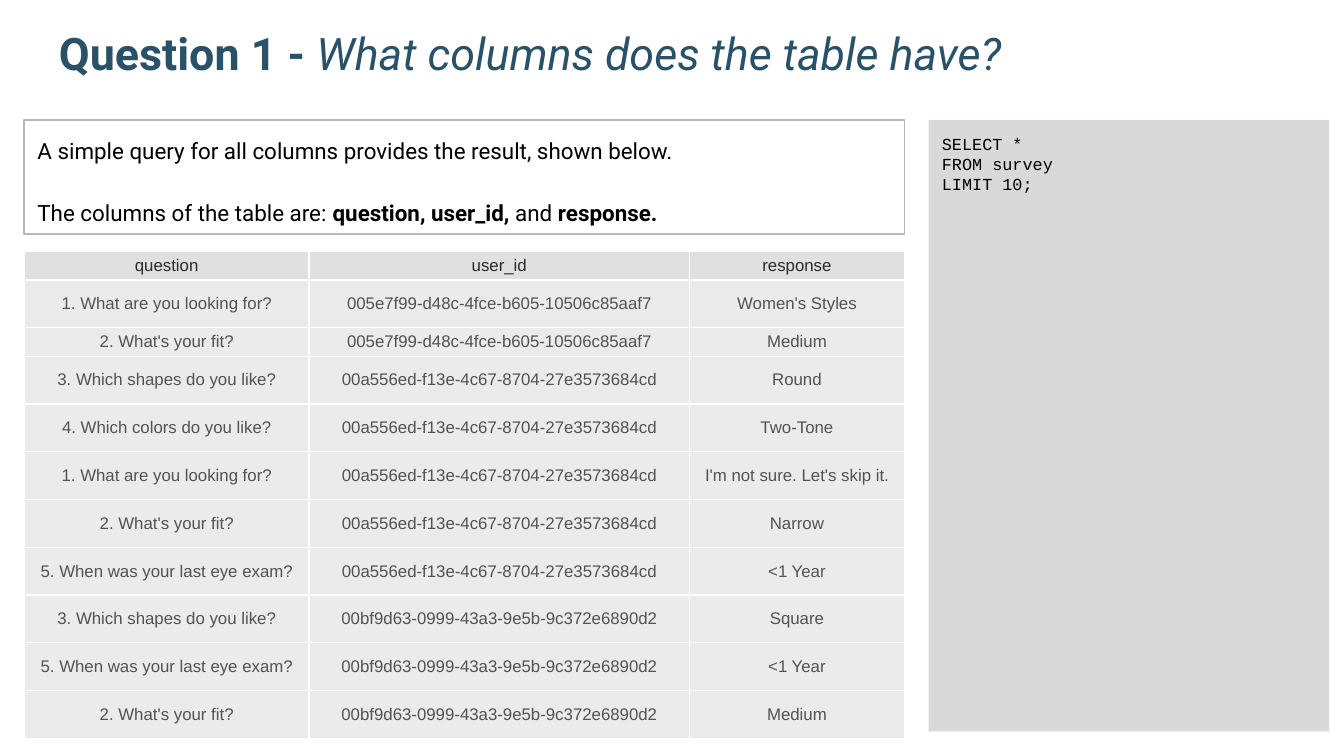
from dataclasses import dataclass

from lxml import etree
from pptx import Presentation
from pptx import util as u
from pptx.dml.color import RGBColor
from pptx.enum import shapes, text
from pptx.oxml import ns


@dataclass(frozen=True)
class Theme:
    """Colours, fonts and type sizes of the slide."""
    title: str = "295269"
    ink: str = "000000"
    code_fill: str = "D9D9D9"
    outline: str = "B7B7B7"
    head_fill: str = "E0E0E0"
    head_ink: str = "292929"
    body_fill: str = "EBEBEB"
    body_ink: str = "525252"
    grid: str = "FFFFFF"
    prose_font: str = "Roboto"
    code_font: str = "Courier New"
    table_font: str = "Arial"
    title_size: int = 24
    prose_size: int = 12
    small_size: int = 9
    rule: float = 0.75


THEME = Theme()
WIDTH, HEIGHT = u.Inches(10), u.Inches(5.625)
COLUMN_WEIGHTS = (2.12, 2.83, 1.6)
SHORT_ROWS, SHORT_HEIGHT = (0, 2), u.Inches(0.21)
USERS = (
    "005e7f99-d48c-4fce-b605-10506c85aaf7",
    "00a556ed-f13e-4c67-8704-27e3573684cd",
    "00bf9d63-0999-43a3-9e5b-9c372e6890d2",
)
LOOKING = "1. What are you looking for?"
FIT = "2. What's your fit?"
SHAPES = "3. Which shapes do you like?"
COLORS = "4. Which colors do you like?"
EXAM = "5. When was your last eye exam?"
RECORDS = (
    ("question", "user_id", "response"),
    (LOOKING, USERS[0], "Women's Styles"),
    (FIT, USERS[0], "Medium"),
    (SHAPES, USERS[1], "Round"),
    (COLORS, USERS[1], "Two-Tone"),
    (LOOKING, USERS[1], "I'm not sure. Let's skip it."),
    (FIT, USERS[1], "Narrow"),
    (EXAM, USERS[1], "<1 Year"),
    (SHAPES, USERS[2], "Square"),
    (EXAM, USERS[2], "<1 Year"),
    (FIT, USERS[2], "Medium"),
)


def place(left, top, width, height):
    """Turn percentages of the slide into a box of lengths."""
    return (int(WIDTH * left / 100), int(HEIGHT * top / 100),
            int(WIDTH * width / 100), int(HEIGHT * height / 100))


def style(paragraph, font, size, color):
    """Set the font of a whole paragraph."""
    paragraph.font.name = font
    paragraph.font.size = u.Pt(size)
    paragraph.font.color.rgb = RGBColor.from_string(color)


def write(shape, paragraphs, font, size, color, anchor=text.MSO_ANCHOR.TOP):
    """Fill a shape with paragraphs of (words, emphasis) runs and return them."""
    frame = shape.text_frame
    frame.word_wrap = True
    frame.vertical_anchor = anchor
    frame.margin_left = frame.margin_right = u.Inches(0.1)
    frame.margin_top = frame.margin_bottom = u.Inches(0.1)
    for index, runs in enumerate(paragraphs):
        paragraph = frame.add_paragraph() if index else frame.paragraphs[0]
        paragraph.alignment = text.PP_ALIGN.LEFT
        style(paragraph, font, size, color)
        for words, emphasis in runs:
            run = paragraph.add_run()
            run.text = words
            if emphasis == "bold":
                run.font.bold = True
            elif emphasis == "italic":
                run.font.italic = True
    return frame.paragraphs


def add_panel(slide, box, fill=None, outline=None):
    """Draw a plain rectangle with an optional fill and outline."""
    panel = slide.shapes.add_shape(shapes.MSO_SHAPE.RECTANGLE, *box)
    panel.shadow.inherit = False
    if fill:
        panel.fill.solid()
        panel.fill.fore_color.rgb = RGBColor.from_string(fill)
    else:
        panel.fill.background()
    if outline:
        panel.line.color.rgb = RGBColor.from_string(outline)
        panel.line.width = u.Pt(THEME.rule)
    else:
        panel.line.fill.background()
    return panel


def add_title(slide, box):
    """Add the question as the slide's heading."""
    runs = [("Question 1 - ", "bold"),
            ("What columns does the table have?", "italic")]
    write(slide.shapes.add_textbox(*box), [runs], THEME.prose_font,
          THEME.title_size, THEME.title, text.MSO_ANCHOR.BOTTOM)


def add_query(slide, box):
    """Add the grey panel with the SQL query."""
    lines = ("SELECT *", "FROM survey", "LIMIT 10;")
    write(add_panel(slide, box, fill=THEME.code_fill),
          [[(line, None)] for line in lines],
          THEME.code_font, THEME.small_size, THEME.ink)


def add_answer(slide, box):
    """Add the outlined answer in two spaced paragraphs."""
    answer = [
        [("A simple query for all columns provides the result, shown below.", None)],
        [("The columns of the table are: ", None),
         ("question, user_id, ", "bold"), ("and", None), (" response.", "bold")],
    ]
    paragraphs = write(add_panel(slide, box, outline=THEME.outline), answer,
                       THEME.prose_font, THEME.prose_size, THEME.ink)
    for paragraph in paragraphs:
        paragraph.line_spacing = 1.15
    paragraphs[-1].space_before = u.Pt(16.5)


def add_borders(cell):
    """Rule all four sides of a cell."""
    properties = cell._tc.get_or_add_tcPr()
    for index, side in enumerate(("lnL", "lnR", "lnT", "lnB")):
        line = etree.Element(ns.qn(f"a:{side}"), w=str(u.Pt(THEME.rule)))
        fill = etree.SubElement(line, ns.qn("a:solidFill"))
        etree.SubElement(fill, ns.qn("a:srgbClr"), val=THEME.grid)
        properties.insert(index, line)


def fill_cell(cell, words, fill, ink):
    """Write and colour one table cell."""
    cell.text = words
    cell.vertical_anchor = text.MSO_ANCHOR.MIDDLE
    cell.margin_left = cell.margin_right = u.Inches(0.06)
    cell.margin_top = cell.margin_bottom = u.Inches(0.03)
    cell.fill.solid()
    cell.fill.fore_color.rgb = RGBColor.from_string(fill)
    paragraph = cell.text_frame.paragraphs[0]
    paragraph.alignment = text.PP_ALIGN.CENTER
    style(paragraph, THEME.table_font, THEME.small_size, ink)
    add_borders(cell)


def add_results(slide, box):
    """Add the table of query results."""
    width, height = box[2:]
    table = slide.shapes.add_table(len(RECORDS), len(COLUMN_WEIGHTS), *box).table
    for column, weight in zip(table.columns, COLUMN_WEIGHTS):
        column.width = int(width * weight / sum(COLUMN_WEIGHTS))
    tall = (height - len(SHORT_ROWS) * SHORT_HEIGHT) // (len(RECORDS) - len(SHORT_ROWS))
    for index, (row, record) in enumerate(zip(table.rows, RECORDS)):
        row.height = SHORT_HEIGHT if index in SHORT_ROWS else tall
        fill, ink = ((THEME.body_fill, THEME.body_ink) if index
                     else (THEME.head_fill, THEME.head_ink))
        for cell, words in zip(row.cells, record):
            fill_cell(cell, words, fill, ink)


def main():
    """Build and save the slide."""
    presentation = Presentation()
    presentation.slide_width, presentation.slide_height = WIDTH, HEIGHT
    slide = presentation.slides.add_slide(presentation.slide_layouts[6])
    add_title(slide, place(3.4, 3.9, 93.2, 8.4))
    add_query(slide, place(69.1, 15.85, 29.8, 80.9))
    add_answer(slide, place(1.8, 15.85, 65.5, 15.1))
    add_results(slide, place(1.8, 33.3, 65.5, 64.4))
    presentation.save("out.pptx")


main()
